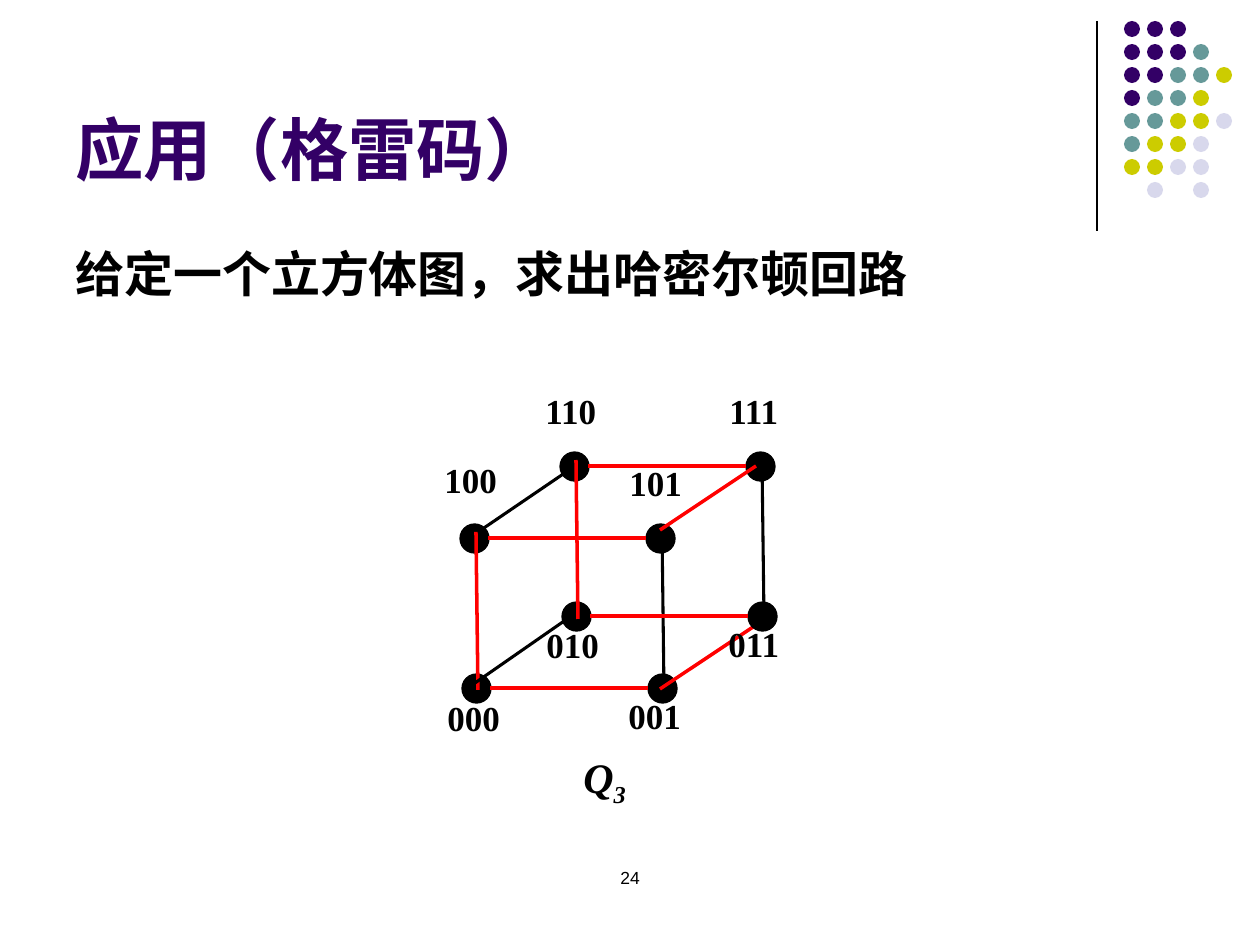
from lxml.etree import SubElement
from pptx import Presentation
from pptx.dml.color import RGBColor
from pptx.enum.shapes import MSO_CONNECTOR, MSO_SHAPE
from pptx.enum.text import MSO_ANCHOR, PP_ALIGN
from pptx.oxml.ns import qn
from pptx.util import Inches, Pt

SCALE = Inches(10) / 1260
COLOURS = {"purple": "330066", "teal": "669999", "olive": "CCCC00",
           "lilac": "D8D8EC", "black": "000000", "red": "FF0000"}
DOT_ROWS = ["ppp", "pppt", "pptto", "ptto", "ttool", "tool", "ooll", " l l"]
DOT_COLOURS = {"p": "purple", "t": "teal", "o": "olive", "l": "lilac"}
LABELS = {"100": (0, 69), "101": (185, 72), "000": (3, 307), "001": (184, 305),
          "110": (101, 0), "111": (285, 0), "010": (102, 234), "011": (284, 233)}
FRONT_AND_TOP = ["100", "101", "000", "001", "110", "111"]
LOW_BACK = ["010", "011"]
LOWER_EDGES = [
    ("001", "101", "black", (2, 0), (2, -9)),
    ("000", "100", "red", (2, 2), (2, -6)),
    ("000", "010", "black", (-1, -5), (-6, 1)),
    ("001", "011", "red", (-2, 1), (-6, 9)),
    ("101", "111", "red", (0, -8), (-4, 0)),
    ("100", "110", "black", (10, -10), (4, -2)),
]
UPPER_EDGES = [
    ("011", "111", "black", (2, 0), (2, -9)),
    ("010", "110", "red", (2, 3), (2, -6)),
] + [(start, start[:2] + "1", "red", (14, 0), (-14, 0))
     for start in ("100", "000", "110", "010")]


def px(*values):
    """Turn pixel lengths into EMU."""
    return [round(value * SCALE) for value in values]


def colour(name):
    """Return a named colour."""
    return RGBColor.from_string(COLOURS[name])


def apply(target, values):
    """Set each attribute in values on the target."""
    for name, value in values.items():
        setattr(target, name, value)


def add_span(para, text, tone, values):
    """Add a formatted run to a paragraph."""
    span = para.add_run()
    span.text = text
    apply(span.font, values)
    span.font.color.rgb = colour(tone)
    return span


def fill_text(holder, text, tone, font, frame=None, align=PP_ALIGN.LEFT):
    """Write one line of text in a shape and return its paragraph."""
    apply(holder.text_frame, {"word_wrap": True,
                              "vertical_anchor": MSO_ANCHOR.TOP, **(frame or {})})
    para = holder.text_frame.paragraphs[0]
    para.alignment = align
    add_span(para, text, tone, font)
    return para


def add_text(page, box, *content, **options):
    """Place a text box with one line of text."""
    return fill_text(page.shapes.add_textbox(*px(*box)), *content, **options)


def add_label(page, box, text, font):
    """Place an unwrapped label in a clear callout."""
    label = page.shapes.add_shape(MSO_SHAPE.RECTANGULAR_CALLOUT, *px(*box))
    label.shadow.inherit = False
    label.fill.background()
    label.line.fill.background()
    return fill_text(label, text, "black", font, {"word_wrap": False})


def add_disc(page, kind, box, tone, outline=None):
    """Place a filled round shape."""
    disc = page.shapes.add_shape(kind, *px(*box))
    disc.shadow.inherit = False
    disc.fill.solid()
    disc.fill.fore_color.rgb = colour(tone)
    if outline:
        disc.line.color.rgb = colour(tone)
        disc.line.width = Pt(outline)
    else:
        disc.line.fill.background()


def add_line(page, start, end, tone, width):
    """Draw a straight line between two points."""
    line = page.shapes.add_connector(MSO_CONNECTOR.STRAIGHT, *px(*start, *end))
    line.line.color.rgb = colour(tone)
    line.line.width = Pt(width)
    SubElement(line._element.spPr, qn("a:effectLst"))


def add_ornament(page, left, top):
    """Draw the corner rule and its grid of dots."""
    add_line(page, (left, top), (left, top + 210), "black", 0.75)
    for row, pattern in enumerate(DOT_ROWS):
        for column, key in enumerate(pattern):
            if key in DOT_COLOURS:
                box = (left + 27 + 23 * column, top + 23 * row, 16, 16)
                add_disc(page, MSO_SHAPE.OVAL, box, DOT_COLOURS[key])


def node_centre(code, left, top):
    """Return the centre of the cube node with this binary code."""
    up, back, right = map(int, code)
    return (left + 42 + 186 * right + 100 * back + 2 * (1 - up),
            top + 155 + 150 * (1 - up) - 72 * back)


def add_nodes(page, codes, left, top):
    """Draw the cube nodes with these codes."""
    for code in codes:
        x, y = node_centre(code, left, top)
        add_disc(page, MSO_SHAPE.FLOWCHART_CONNECTOR,
                 (x - 14, y - 14, 29, 29), "black", 0.75)


def add_edges(page, edges, left, top):
    """Draw cube edges, with red for the Hamiltonian circuit."""
    for start, end, tone, *shifts in edges:
        points = [tuple(map(sum, zip(node_centre(code, left, top), shift)))
                  for code, shift in zip((start, end), shifts)]
        add_line(page, *points, tone, 2 if tone == "red" else 1.75)


def add_cube(page, left, top):
    """Draw the labelled cube graph and its caption."""
    add_nodes(page, FRONT_AND_TOP, left, top)
    add_edges(page, LOWER_EDGES, left, top)
    add_nodes(page, LOW_BACK, left, top)
    add_edges(page, UPPER_EDGES, left, top)
    font = {"name": "Times New Roman", "size": Pt(20), "bold": True}
    for code, (x, y) in LABELS.items():
        add_label(page, (left + x, top + y, 72, 55), code, font)
    font = {**font, "size": Pt(24), "italic": True}
    para = add_label(page, (left + 139, top + 362, 142, 69), "Q", font)
    subscript = add_span(para, "3", "black", font)
    subscript._r.get_or_add_rPr().set("baseline", "-25000")


def main():
    """Build and save the slide."""
    deck = Presentation()
    apply(deck, {"slide_width": Inches(10), "slide_height": Inches(7.5)})
    page = deck.slides.add_slide(deck.slide_layouts[6])
    add_ornament(page, 1097, 21)
    add_text(page, (63, 16, 1040, 179), "应用（格雷码）", "purple",
             {"name": "Arial", "size": Pt(39), "bold": True},
             frame={"vertical_anchor": MSO_ANCHOR.BOTTOM})
    add_text(page, (63, 237, 1163, 136), "给定一个立方体图，求出哈密尔顿回路", "black",
             {"name": "Times New Roman", "size": Pt(28), "bold": True})
    add_cube(page, 432, 383)
    add_text(page, (483, 861, 294, 63), "24", "black",
             {"name": "Arial", "size": Pt(10)}, align=PP_ALIGN.CENTER)
    deck.save("out.pptx")


if __name__ == "__main__":
    main()
